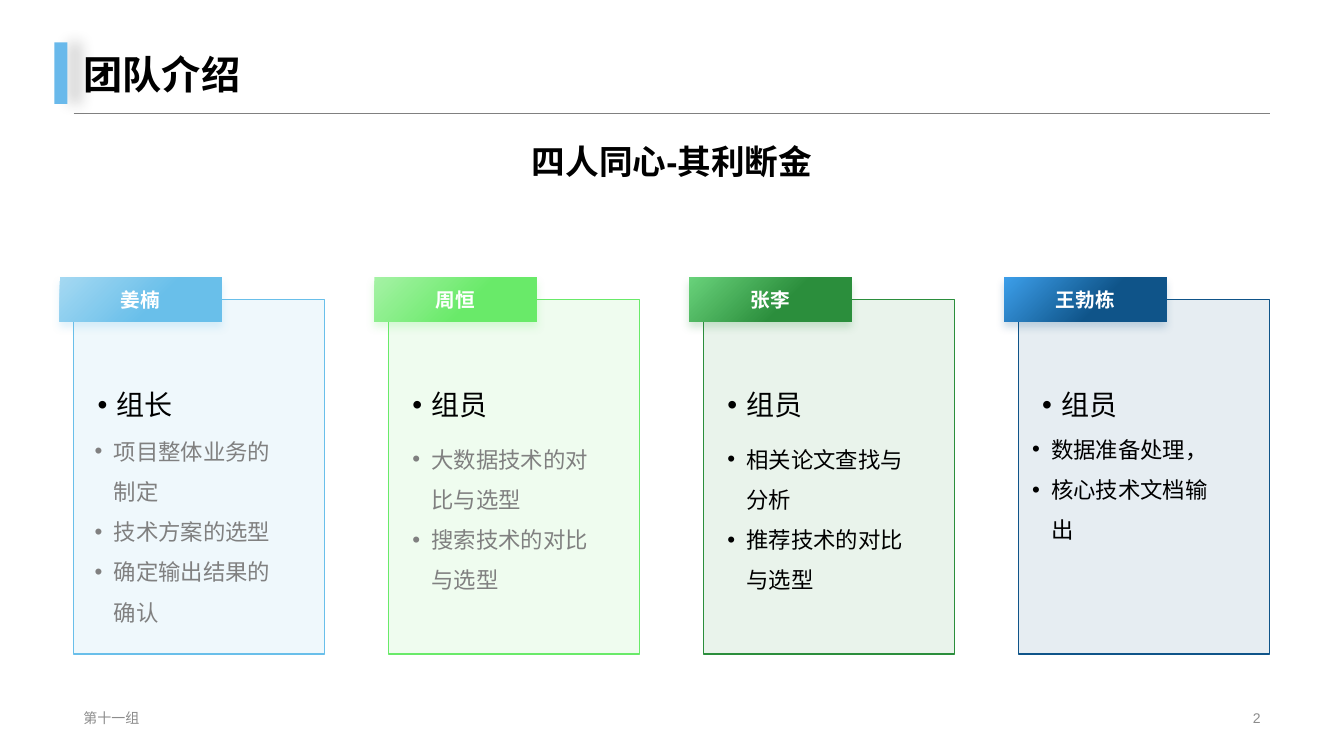
from dataclasses import dataclass

from lxml import etree
from pptx import Presentation
from pptx.dml.color import RGBColor
from pptx.enum.shapes import MSO_CONNECTOR, MSO_SHAPE
from pptx.enum.text import MSO_ANCHOR as Anchor, PP_ALIGN as Align
from pptx.oxml import parse_xml
from pptx.oxml.ns import nsdecls, qn
from pptx.util import Inches, Pt

COLORS = {
    "black": "000000", "white": "FFFFFF", "gray": "808080", "footer": "8C8C8C",
    "accent": "69B9EB", "accent_shadow": "262626",
    "sky": "69BFEA", "sky_light": "A5D9F2",
    "lime": "69EA69", "lime_light": "A5F2A5",
    "green": "2B8E3C", "green_light": "69D27B",
    "navy": "0F5489", "navy_light": "3D9FEA",
}
LATIN, CJK = "Arial", "Noto Sans CJK SC"
CARD_LEFT, CARD_TOP, CARD_WIDTH, CARD_HEIGHT = 0.73, 2.97, 2.49, 3.52
CARD_PITCH = 3.123
BODY_WIDTH = 2.16
BULLET_INDENT = Inches(0.19)


@dataclass(frozen=True)
class Style:
    size: float
    color: str
    font: str = LATIN
    bold: bool = False
    align: Align = Align.LEFT
    spacing: float = 1.0
    bullet: bool = False


@dataclass(frozen=True)
class Member:
    name: str
    role: str
    tasks: tuple[str, ...]
    color: str
    task_color: str
    task_indent: float
    task_top: float
    task_height: float


MEMBERS = (
    Member("姜楠", "组长", ("项目整体业务的制定", "技术方案的选型", "确定输出结果的确认"),
           "sky", "gray", 0.11, 4.16, 2.07),
    Member("周恒", "组员", ("大数据技术的对比与选型", "搜索技术的对比与选型"),
           "lime", "gray", 0.14, 4.24, 1.67),
    Member("张李", "组员", ("相关论文查找与分析", "推荐技术的对比与选型"),
           "green", "black", 0.14, 4.24, 1.67),
    Member("王勃栋", "组员", ("数据准备处理，", "核心技术文档输出"),
           "navy", "black", 0.04, 4.14, 1.26),
)


def rgb(name: str) -> RGBColor:
    return RGBColor.from_string(COLORS[name])


def write(frame, lines: tuple[str, ...], style: Style, anchor=Anchor.TOP, wrap=True) -> None:
    frame.word_wrap = wrap
    frame.vertical_anchor = anchor
    for index, line in enumerate(lines):
        paragraph = frame.add_paragraph() if index else frame.paragraphs[0]
        paragraph.alignment = style.align
        paragraph.line_spacing = style.spacing
        paragraph.space_before = Pt(0)
        if style.bullet:
            properties = paragraph._p.get_or_add_pPr()
            properties.set("marL", str(BULLET_INDENT))
            properties.set("indent", str(-BULLET_INDENT))
            properties.append(parse_xml(f'<a:buFont {nsdecls("a")} typeface="Arial"/>'))
            properties.append(parse_xml(f'<a:buChar {nsdecls("a")} char="•"/>'))
        run = paragraph.add_run()
        run.text = line
        run.font.size = Pt(style.size)
        run.font.bold = style.bold
        run.font.color.rgb = rgb(style.color)
        run.font.name = style.font
        east_asian = etree.SubElement(run._r.get_or_add_rPr(), qn("a:ea"))
        east_asian.set("typeface", CJK)


def add_text(slide, box: tuple[float, ...], lines: tuple[str, ...], style: Style,
             anchor=Anchor.TOP) -> None:
    shape = slide.shapes.add_textbox(*map(Inches, box))
    write(shape.text_frame, lines, style, anchor)


def add_rectangle(slide, box: tuple[float, ...], color: str):
    shape = slide.shapes.add_shape(MSO_SHAPE.RECTANGLE, *map(Inches, box))
    shape.shadow.inherit = False
    shape.fill.solid()
    shape.fill.fore_color.rgb = rgb(color)
    shape.line.fill.background()
    return shape


def set_shadow(shape, color: str, blur: float, distance: float, angle: int) -> None:
    effects = shape._element.spPr.find(qn("a:effectLst"))
    effects.append(parse_xml(
        f'<a:outerShdw {nsdecls("a")} blurRad="{Pt(blur)}" dist="{Pt(distance)}" '
        f'dir="{angle * 60000}" algn="ctr" rotWithShape="0">'
        f'<a:srgbClr val="{COLORS[color]}"><a:alpha val="20000"/></a:srgbClr></a:outerShdw>'))


def add_member(slide, member: Member, left: float) -> None:
    # Tinted card
    card = add_rectangle(slide, (left, CARD_TOP, CARD_WIDTH, CARD_HEIGHT), member.color)
    tint = card._element.spPr.find(qn("a:solidFill"))[0]
    etree.SubElement(tint, qn("a:alpha")).set("val", "10000")
    card.line.color.rgb = rgb(member.color)
    card.line.width = Pt(1)

    # Name tag
    tag = add_rectangle(slide, (left - 0.14, CARD_TOP - 0.22, 1.61, 0.44), member.color)
    tag.fill.gradient()
    tag.fill.gradient_angle = 315
    light, dark = tag.fill.gradient_stops
    light.position, light.color.rgb = 0, rgb(member.color + "_light")
    dark.position, dark.color.rgb = 0.6, rgb(member.color)
    set_shadow(tag, member.color, 6, 4, 90)
    write(tag.text_frame, (member.name,),
          Style(14, "white", bold=True, align=Align.CENTER), Anchor.MIDDLE, wrap=False)

    # Role and tasks
    add_text(slide, (left + 0.14, 3.63, BODY_WIDTH, 0.55), (member.role,),
             Style(20, "black", CJK, spacing=1.5, bullet=True))
    add_text(slide, (left + member.task_indent, member.task_top, BODY_WIDTH, member.task_height),
             member.tasks, Style(16, member.task_color, CJK, spacing=1.5, bullet=True))


presentation = Presentation()
presentation.slide_width, presentation.slide_height = Inches(13.33), Inches(7.5)
slide = presentation.slides.add_slide(presentation.slide_layouts[5])

# Title with accent bar and rule
rule = slide.shapes.add_connector(MSO_CONNECTOR.STRAIGHT, *map(Inches, (0.73, 1.12, 12.6, 1.12)))
rule.line.color.rgb = rgb("gray")
rule.line.width = Pt(0.25)
etree.SubElement(rule._element.spPr, qn("a:effectLst"))
accent_bar = add_rectangle(slide, (0.54, 0.42, 0.13, 0.61), "accent")
set_shadow(accent_bar, "accent_shadow", 10, 10, 0)
title = slide.shapes.title
title.left, title.top, title.width, title.height = map(Inches, (0.73, -0.1, 11.87, 1.12))
write(title.text_frame, ("团队介绍",), Style(28, "black", bold=True, spacing=0.9), Anchor.BOTTOM)

# Headline
add_text(slide, (0.97, 1.35, 11.39, 0.5), ("四人同心-其利断金",),
         Style(24, "black", bold=True, align=Align.CENTER), Anchor.BOTTOM)

# Team cards
for position, member in enumerate(MEMBERS):
    add_member(slide, member, CARD_LEFT + position * CARD_PITCH)

# Footer
add_text(slide, (0.73, 7.01, 4.53, 0.23), ("第十一组",), Style(10, "footer"), Anchor.MIDDLE)
add_text(slide, (9.42, 7.01, 3.18, 0.23), ("2",),
         Style(10, "footer", align=Align.RIGHT), Anchor.MIDDLE)

presentation.save("out.pptx")
